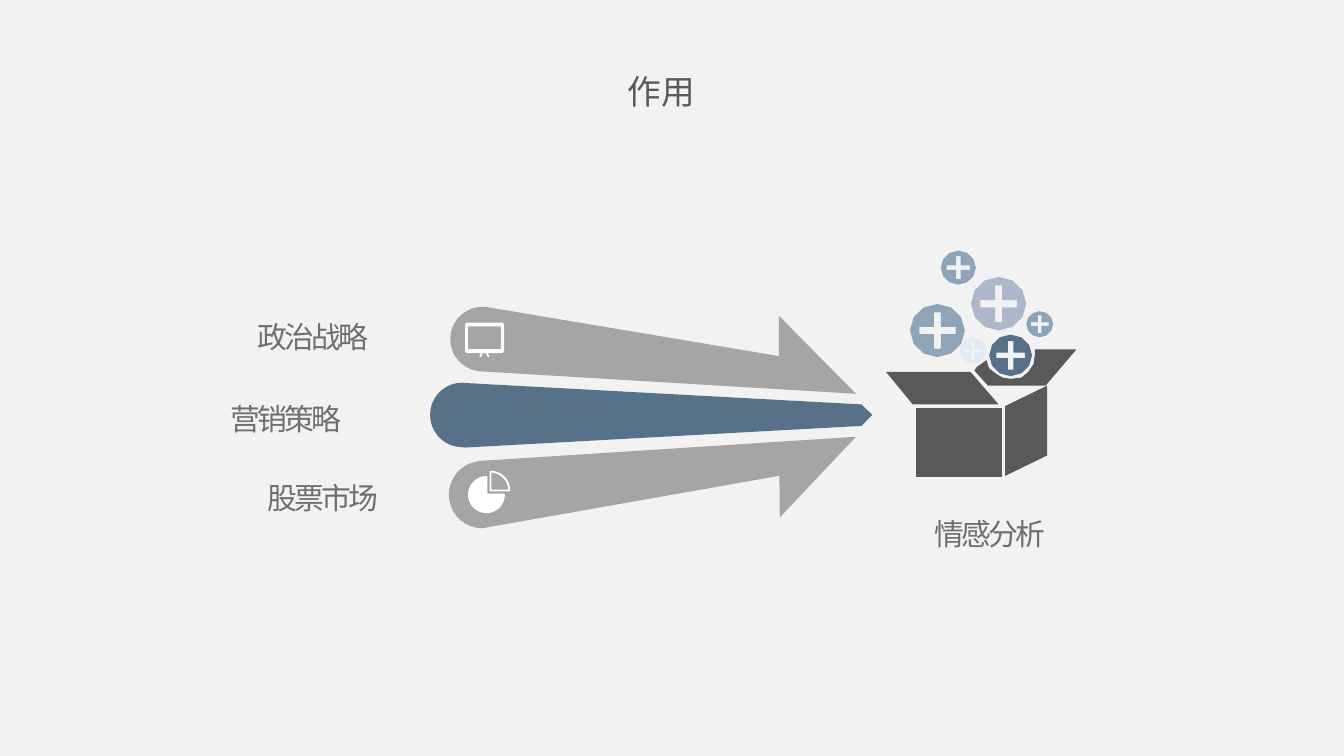
"""Build a slide where three strategy arrows lead into a box of sentiment analysis."""
from math import cos, radians, sin

from pptx import Presentation
from pptx.dml.color import RGBColor
from pptx.enum.text import MSO_ANCHOR, MSO_AUTO_SIZE, PP_ALIGN
from pptx.util import Pt

BACKGROUND = RGBColor(0xF2, 0xF2, 0xF2)
BLUE = RGBColor(0x57, 0x71, 0x88)
SOFT_BLUE = RGBColor(0x8F, 0xA4, 0xB7)
LAVENDER = RGBColor(0xAD, 0xB9, 0xCA)
PALE_BLUE = RGBColor(0xDE, 0xEB, 0xF7)
GRAY = RGBColor(0xA5, 0xA5, 0xA5)
DARK = RGBColor(0x59, 0x59, 0x59)
LABEL = RGBColor(0x6D, 0x6F, 0x71)
WHITE = RGBColor(0xFF, 0xFF, 0xFF)


def arc(x, y, radius, start, end, step=10, squash=1):
    return [(x + radius * cos(radians(angle)), y + squash * radius * sin(radians(angle)))
            for angle in range(start, end + 1, step)]


def add_outline(shapes, contours, fill=None, line=None):
    first, *others = contours
    builder = shapes.build_freeform(Pt(first[0][0]), Pt(first[0][1]))
    builder.add_line_segments([(Pt(x), Pt(y)) for x, y in first[1:]])
    for contour in others:
        builder.move_to(Pt(contour[0][0]), Pt(contour[0][1]))
        builder.add_line_segments([(Pt(x), Pt(y)) for x, y in contour[1:]])
    shape = builder.convert_to_shape()
    shape.shadow.inherit = False
    if fill is None:
        shape.fill.background()
    else:
        shape.fill.solid()
        shape.fill.fore_color.rgb = fill
    if line is None:
        shape.line.fill.background()
    else:
        shape.line.color.rgb = line
        shape.line.width = Pt(1)


deck = Presentation()
deck.slide_width, deck.slide_height = Pt(720), Pt(405)
page = deck.slides.add_slide(deck.slide_layouts[5])
page.background.fill.solid()
page.background.fill.fore_color.rgb = BACKGROUND

arrows = [
    (247.7, 222.3, 17.3, BLUE,
     [(249, 205.2), (461.5, 216.7), (467.3, 222.3), (461.5, 228.2), (249, 239.8)]),
    (258.5, 265, 18, GRAY,
     [(256.3, 247), (458.6, 234), (417.8, 277.2), (417.6, 254.9), (260.6, 282.6)]),
    (258.5, 181.7, 17.3, GRAY,
     [(260.6, 164.5), (417.3, 190.8), (417.3, 169.2), (458.6, 211), (256.3, 198.9)]),
]
for x, y, radius, color, body in arrows:
    add_outline(page.shapes, [body + arc(x, y, radius, 90, 270)], color)

pie = page.shapes.add_group_shape().shapes
add_outline(pie, [arc(260.6, 265, 9.4, 0, 270) + [(260.6, 265)]], WHITE, WHITE)
add_outline(pie, [arc(262.8, 262.8, 10.1, 270, 360) + [(262.8, 262.8)]], line=WHITE)

frame = (arc(268.6, 174.2, 1.4, 270, 360) + arc(268.6, 187.8, 1.4, 0, 90)
         + arc(250.5, 187.8, 1.4, 90, 180) + arc(250.5, 174.2, 1.4, 180, 270))
screen = [(250.7, 174.8), (268.4, 174.8), (268.4, 187), (250.7, 187)]
legs = [[(x, 189.2), (x + 1, 189.2), (x + 1 + lean, 191.2), (x + lean, 191.2)]
        for x, lean in ((257.6, -0.8), (260.4, 0.8))]
add_outline(page.shapes, [frame, screen, *legs], WHITE)

carton = page.shapes.add_group_shape().shapes
panels = [
    [(561, 206.6), (561, 244), (538.4, 255), (538.4, 217.6)],
    [(474.7, 199.3), (520, 199.3), (535, 216.7), (489, 216.7)],
    [(490.7, 218.4), (536.6, 218.4), (536.6, 255.5), (490.7, 255.5)],
    [(554.4, 187.2), (576.7, 187.2), (560.2, 206.6), (529.2, 206.6), (522, 198.5),
     (523.4, 196.6), (528.5, 193), (529.9, 197.3), (533.5, 200.2), (537.1, 202.3),
     (541.4, 203), (547.2, 202.3), (550.8, 199.4), (553.7, 195.1), (554.4, 190.1)],
]
for panel in panels:
    add_outline(carton, [panel], DARK)

badges = [
    (502.2, 177.1, 14.7, SOFT_BLUE), (535, 162.7, 14.8, LAVENDER),
    (513.4, 143.4, 9.4, SOFT_BLUE), (541.4, 190.4, 11.5, BLUE),
    (521.3, 187.9, 7, PALE_BLUE), (557, 173.7, 7.2, SOFT_BLUE),
]
for x, y, radius, color in badges:
    disc = arc(x, y, radius, 0, 330, 30, 0.97)
    long, thin = radius * 0.66, radius * 0.13
    plus = [(-thin, -long), (thin, -long), (thin, -thin), (long, -thin),
            (long, thin), (thin, thin), (thin, long), (-thin, long),
            (-thin, thin), (-long, thin), (-long, -thin), (-thin, -thin)]
    add_outline(carton, [disc, [(x + dx, y + dy) for dx, dy in plus]], color)

texts = [
    ("股票市场", 106.6, 253.4, 133.2),
    ("营销策略", 86.4, 211, 133.2),
    ("政治战略", 93.6, 167, 147.6),
    ("情感分析", 461.5, 272.9, 137.5),
    ("作用", 273.6, 34.6, 161.3),
]
for text, left, top, width in texts:
    is_title = text == "作用"
    height = 28.8 if is_title else 26.6
    if is_title:
        box = page.shapes.title
        box.left, box.top, box.width, box.height = Pt(left), Pt(top), Pt(width), Pt(height)
    else:
        box = page.shapes.add_textbox(Pt(left), Pt(top), Pt(width), Pt(height))
    frame = box.text_frame
    frame.word_wrap = True
    frame.auto_size = MSO_AUTO_SIZE.SHAPE_TO_FIT_TEXT
    frame.vertical_anchor = MSO_ANCHOR.TOP
    para = frame.paragraphs[0]
    para.alignment = PP_ALIGN.CENTER
    span = para.add_run()
    span.text = text
    span.font.name = "Arial"
    span.font.size = Pt(18 if is_title else 16)
    span.font.color.rgb = DARK if is_title else LABEL
    if not is_title:
        span._r.get_or_add_rPr().set("spc", "-150")

deck.save("out.pptx")
